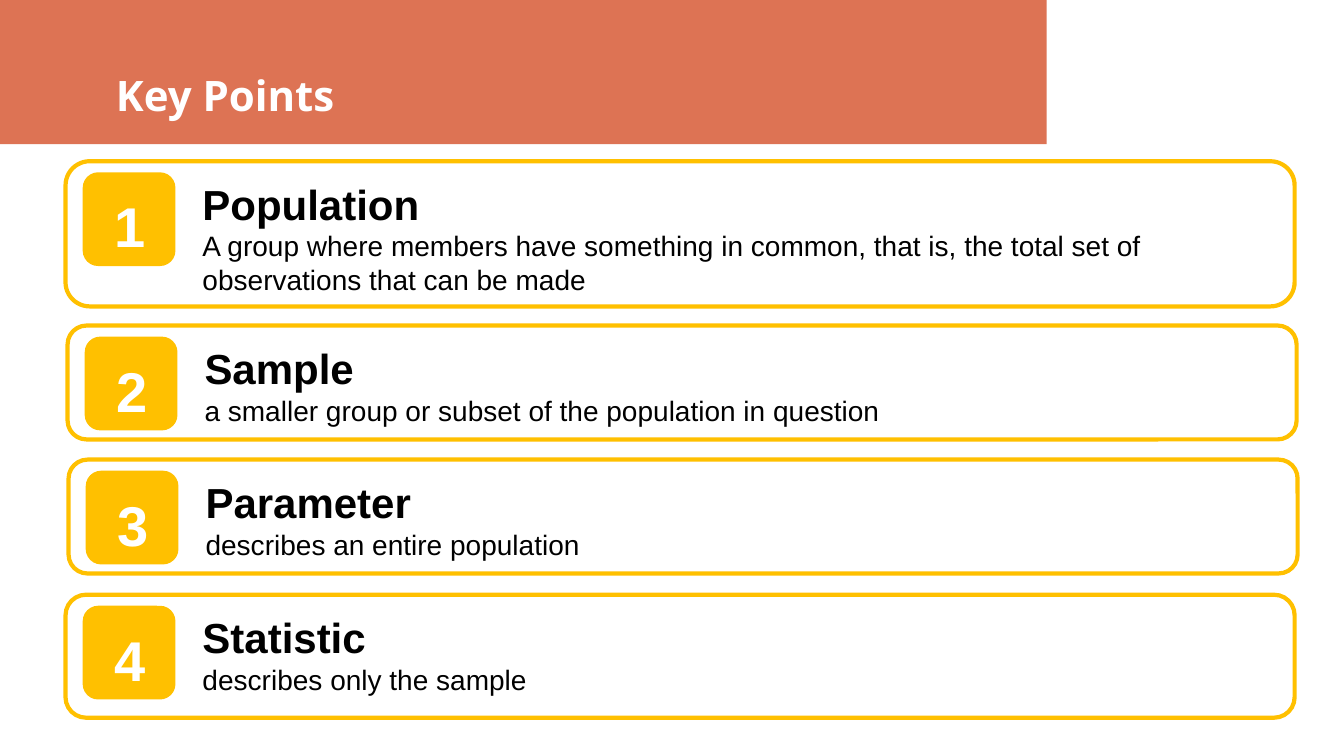
from pptx import Presentation
from pptx.dml.color import RGBColor
from pptx.enum.shapes import MSO_SHAPE as Shape
from pptx.enum.text import MSO_ANCHOR as Anchor, MSO_AUTO_SIZE as AutoSize, PP_ALIGN as Align
from pptx.util import Inches, Pt

CORAL, AMBER, WHITE, BLACK = "DD7354", "FFC000", "FFFFFF", "000000"


def color(value):
    return RGBColor.from_string(value)


def write(para, text, size, bold, value, font="Arial"):
    para.alignment = Align.LEFT
    span = para.add_run()
    span.text = text
    span.font.name = font
    span.font.size = Pt(size)
    span.font.bold = bold
    span.font.color.rgb = color(value)


deck = Presentation()
deck.slide_width, deck.slide_height = Inches(13.33), Inches(7.5)
page = deck.slides.add_slide(deck.slide_layouts[5])

title = page.shapes.title
title.left, title.top = Inches(0), Inches(0)
title.width, title.height = Inches(10.38), Inches(1.43)
title.fill.solid()
title.fill.fore_color.rgb = color(CORAL)
frame = title.text_frame
frame.auto_size = AutoSize.NONE
frame.vertical_anchor = Anchor.TOP
frame.margin_left, frame.margin_top = Inches(1.15), Inches(0.69)
frame.margin_bottom = Inches(0)
write(frame.paragraphs[0], "Key Points", 30, True, WHITE, "Open Sans")

points = [
    ("Population", "A group where members have something in common, that is, "
     "the total set of observations that can be made", 0.65, 1.6, 1.44),
    ("Sample", "a smaller group or subset of the population in question", 0.67, 3.23, 1.13),
    ("Parameter", "describes an entire population", 0.68, 4.56, 1.13),
    ("Statistic", "describes only the sample", 0.65, 5.9, 1.22),
]

for number, (term, meaning, left, top, height) in enumerate(points, 1):
    card = page.shapes.add_shape(Shape.ROUNDED_RECTANGLE, Inches(left), Inches(top),
                                 Inches(12.19), Inches(height))
    card.shadow.inherit = False
    card.fill.background()
    card.line.color.rgb = color(AMBER)
    card.line.width = Pt(3)

    badge = page.shapes.add_shape(Shape.ROUNDED_RECTANGLE, Inches(left + 0.17), Inches(top + 0.11),
                                  Inches(0.92), Inches(0.93))
    badge.shadow.inherit = False
    badge.fill.solid()
    badge.fill.fore_color.rgb = color(AMBER)
    badge.line.fill.background()
    frame = badge.text_frame
    frame.vertical_anchor = Anchor.TOP
    frame.margin_left, frame.margin_top = Inches(0.27), Inches(0.15)
    frame.margin_right = frame.margin_bottom = Inches(0)
    write(frame.paragraphs[0], str(number), 40, True, WHITE)

    box = page.shapes.add_textbox(Inches(left + 1.26), Inches(top + 0.07),
                                  Inches(10.82), Inches(1.22))
    frame = box.text_frame
    frame.word_wrap = True
    frame.margin_left = frame.margin_top = Inches(0.1)
    frame.margin_right = frame.margin_bottom = Inches(0.1)
    write(frame.paragraphs[0], term, 30, True, BLACK)
    write(frame.add_paragraph(), meaning, 20, False, BLACK)

deck.save("out.pptx")
